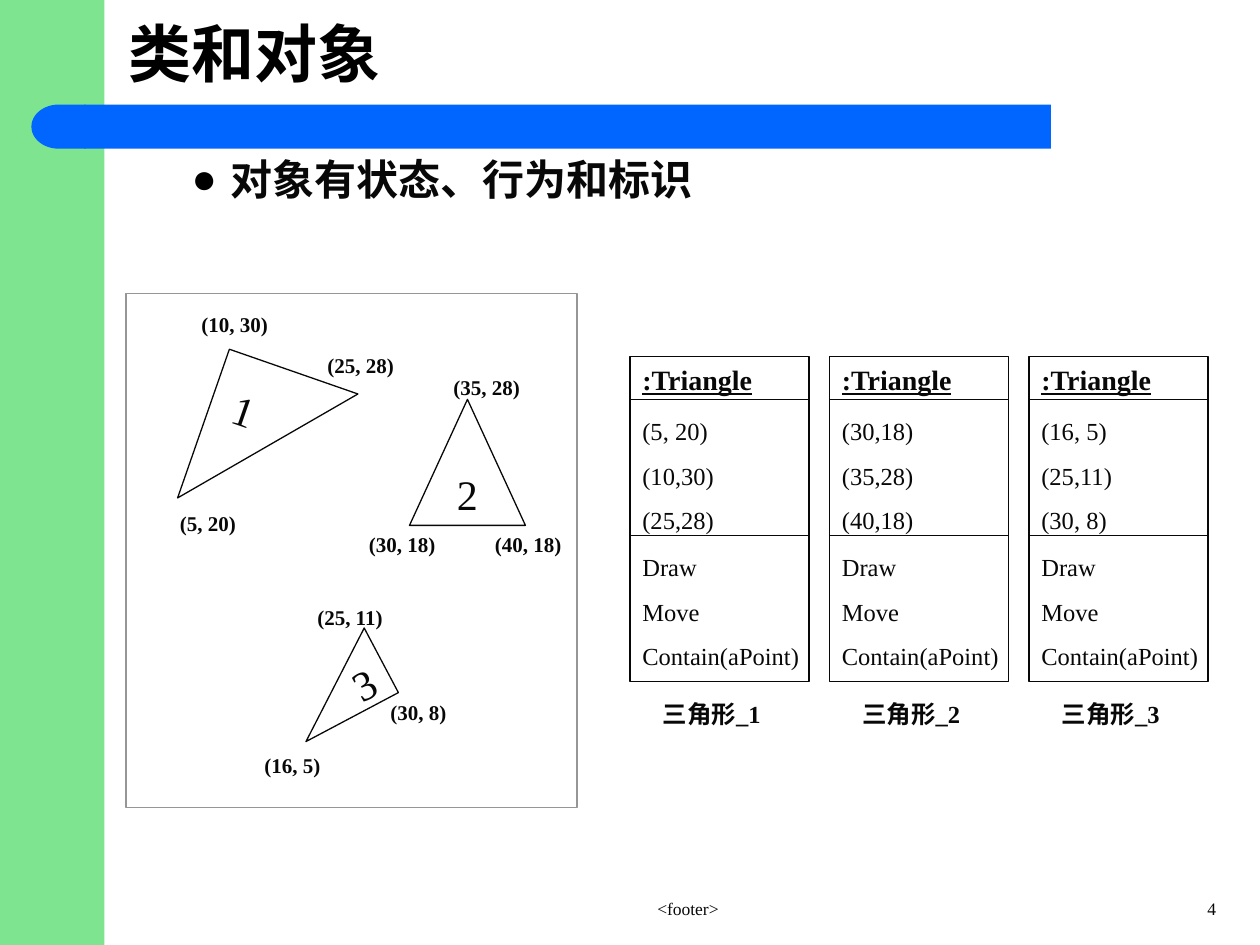
from pptx import Presentation
from pptx.dml.color import RGBColor
from pptx.enum import shapes, text
from pptx.oxml.ns import qn
from pptx.util import Inches, Pt

GREEN = RGBColor(0x7E, 0xE4, 0x8F)
BLUE = RGBColor(0x00, 0x66, 0xFF)
BLACK = RGBColor(0x00, 0x00, 0x00)
INK = RGBColor(0x08, 0x08, 0x08)
GREY = RGBColor(0x96, 0x96, 0x96)
WHITE = RGBColor(0xFF, 0xFF, 0xFF)
FONT = "Times New Roman"
KIND = shapes.MSO_SHAPE
ALIGN = text.PP_ALIGN
FIT = text.MSO_AUTO_SIZE


def inches(*sizes):
    return [Inches(size) for size in sizes]


def add_run(para, words, size, color=INK, bold=False, under=False):
    run = para.add_run()
    run.text = words
    font = run.font
    font.name, font.size, font.bold = FONT, Pt(size), bold
    font.underline = under
    font.color.rgb = color


def add_shape(parent, kind, box, fill=WHITE, line=None):
    shape = parent.shapes.add_shape(kind, *inches(*box))
    shape.shadow.inherit = False
    shape.fill.solid()
    shape.fill.fore_color.rgb = fill
    if line is None:
        shape.line.fill.background()
    else:
        shape.line.color.rgb = line
        shape.line.width = Pt(0.75)
    return shape


def add_text(parent, box, lines, size, before=0, align=ALIGN.LEFT,
             fit=FIT.SHAPE_TO_FIT_TEXT, **style):
    frame = parent.shapes.add_textbox(*inches(*box)).text_frame
    frame.word_wrap = True
    frame.auto_size = fit
    for i, words in enumerate(lines):
        para = frame.add_paragraph() if i else frame.paragraphs[0]
        para.alignment = align
        para.space_before = Pt(before)
        add_run(para, words, size, **style)


def add_rule(parent, left, top, width):
    rule = parent.shapes.add_connector(
        shapes.MSO_CONNECTOR.STRAIGHT, *inches(left, top, left + width, top))
    rule.line.color.rgb = INK
    rule.line.width = Pt(0.75)
    props = rule._element.spPr
    props.append(props.makeelement(qn("a:effectLst"), {}))


def add_frame(slide):
    """Green side band and blue bar with a round left end."""
    add_shape(slide, KIND.RECTANGLE, (0, 0, 0.83, 7.5), GREEN)
    bar = slide.shapes.add_group_shape()
    add_shape(bar, KIND.RECTANGLE, (0.67, 0.83, 7.67, 0.35), BLUE)
    cap = add_shape(bar, KIND.FLOWCHART_DELAY, (0.25, 0.83, 0.43, 0.35), BLUE)
    cap._element.spPr.xfrm.set("flipH", "1")


def fill_holder(holder, box, words, size, color, anchor):
    holder.left, holder.top, holder.width, holder.height = inches(*box)
    frame = holder.text_frame
    frame.auto_size = FIT.NONE
    frame.vertical_anchor = anchor
    para = frame.paragraphs[0]
    para.alignment = ALIGN.LEFT
    add_run(para, words, size, color, bold=True)
    return para


def add_heads(slide):
    """Title and the one list item."""
    fill_holder(slide.shapes.title, (0.92, 0, 8.67, 0.83), "类和对象",
                36, BLACK, text.MSO_ANCHOR.MIDDLE)
    item = fill_holder(slide.placeholders[1], (0.92, 1.17, 8.92, 5.75),
                       "对象有状态、行为和标识", 24, INK, text.MSO_ANCHOR.TOP)
    item.level = 1
    item.space_before = Pt(6)
    props = item._p.get_or_add_pPr()
    props.set("marL", str(Inches(0.81)))
    props.set("indent", str(Inches(-0.31)))
    tint = props.makeelement(qn("a:buClr"), {})
    tint.append(tint.makeelement(qn("a:srgbClr"), {"val": str(BLACK)}))
    props.append(tint)
    props.append(props.makeelement(qn("a:buChar"), {"char": "●"}))


def add_foot(slide, top):
    add_text(slide, (9, top, 0.75, 0.25), ["4"], 10,
             align=ALIGN.RIGHT, fit=FIT.NONE)
    add_text(slide, (3.75, top, 3.42, 0.25), ["<footer>"], 10,
             align=ALIGN.CENTER, fit=FIT.NONE)


def add_card(slide, box, points, name):
    """Object card: class, state and behaviour, with its name below."""
    left, top, width, height = box
    card = slide.shapes.add_group_shape()
    add_shape(card, KIND.RECTANGLE, box, line=INK)
    for drop in (0.34, 1.42):
        add_rule(card, left, top + drop, width)
    add_text(card, (left, top, 1.28, 0.37), [":Triangle"], 16, 10,
             bold=True, under=True)
    add_text(card, (left, top + 0.42, 1.17, 1.05), points, 14, 8.8)
    add_text(card, (left, top + 1.5, 1.5, 1.05),
             ["Draw", "Move", "Contain(aPoint)"], 14, 8.8)
    add_text(card, (left + 0.16, top + height + 0.09, 1.27, 0.34),
             [name], 14, 8.8, bold=True)


def add_plot(slide, box):
    """Panel with three numbered triangles and their corner points."""
    left, top = box[:2]
    plot = slide.shapes.add_group_shape()
    add_shape(plot, KIND.RECTANGLE, box, line=GREY)
    right = KIND.RIGHT_TRIANGLE
    for digit, kind, x, y, wide, high, turn, vert in (
            ("1", right, 0.5, 0.67, 1.25, 1.08, 109.2, "vert270"),
            ("3", right, 1.37, 2.69, 0.58, 0.83, 242.1, "vert"),
            ("2", KIND.ISOSCELES_TRIANGLE, 2.25, 0.84, 0.92, 1, 0, "horz")):
        shape = add_shape(plot, kind, (left + x, top + y, wide, high), line=INK)
        shape.rotation = turn
        frame = shape.text_frame
        frame.word_wrap = False
        frame.vertical_anchor = text.MSO_ANCHOR.MIDDLE
        pads = (0.1, 0.05) if vert == "horz" else (0.05, 0.1)
        frame.margin_left = frame.margin_right = Inches(pads[0])
        frame.margin_top = frame.margin_bottom = Inches(pads[1])
        frame._txBody.bodyPr.set("vert", vert)
        para = frame.paragraphs[0]
        para.alignment = ALIGN.CENTER
        add_run(para, digit, 24)
    for point, x, y in (
            ("(5, 20)", 0.33, 1.67), ("(10, 30)", 0.5, 0.09),
            ("(25, 28)", 1.5, 0.42), ("(30, 18)", 1.83, 1.84),
            ("(35, 28)", 2.5, 0.59), ("(40, 18)", 2.83, 1.84),
            ("(16, 5)", 1, 3.59), ("(25, 11)", 1.42, 2.42),
            ("(30, 8)", 2, 3.17)):
        add_text(plot, (left + x, top + y, 0.75, 0.3), [point], 12, 7.5,
                 bold=True)


def main():
    deck = Presentation()
    deck.slide_width, deck.slide_height = inches(10, 7.5)
    slide = deck.slides.add_slide(deck.slide_layouts[1])
    add_frame(slide)
    add_heads(slide)
    add_foot(slide, 7.08)
    states = (("(5, 20)", "(10,30)", "(25,28)"),
              ("(30,18)", "(35,28)", "(40,18)"),
              ("(16, 5)", "(25,11)", "(30, 8)"))
    for i, points in enumerate(states):
        add_card(slide, (5 + i * 19 / 12, 2.83, 1.42, 2.58), points,
                 f"三角形_{i + 1}")
    add_plot(slide, (1, 2.33, 3.58, 4.08))
    deck.save("out.pptx")


if __name__ == "__main__":
    main()
